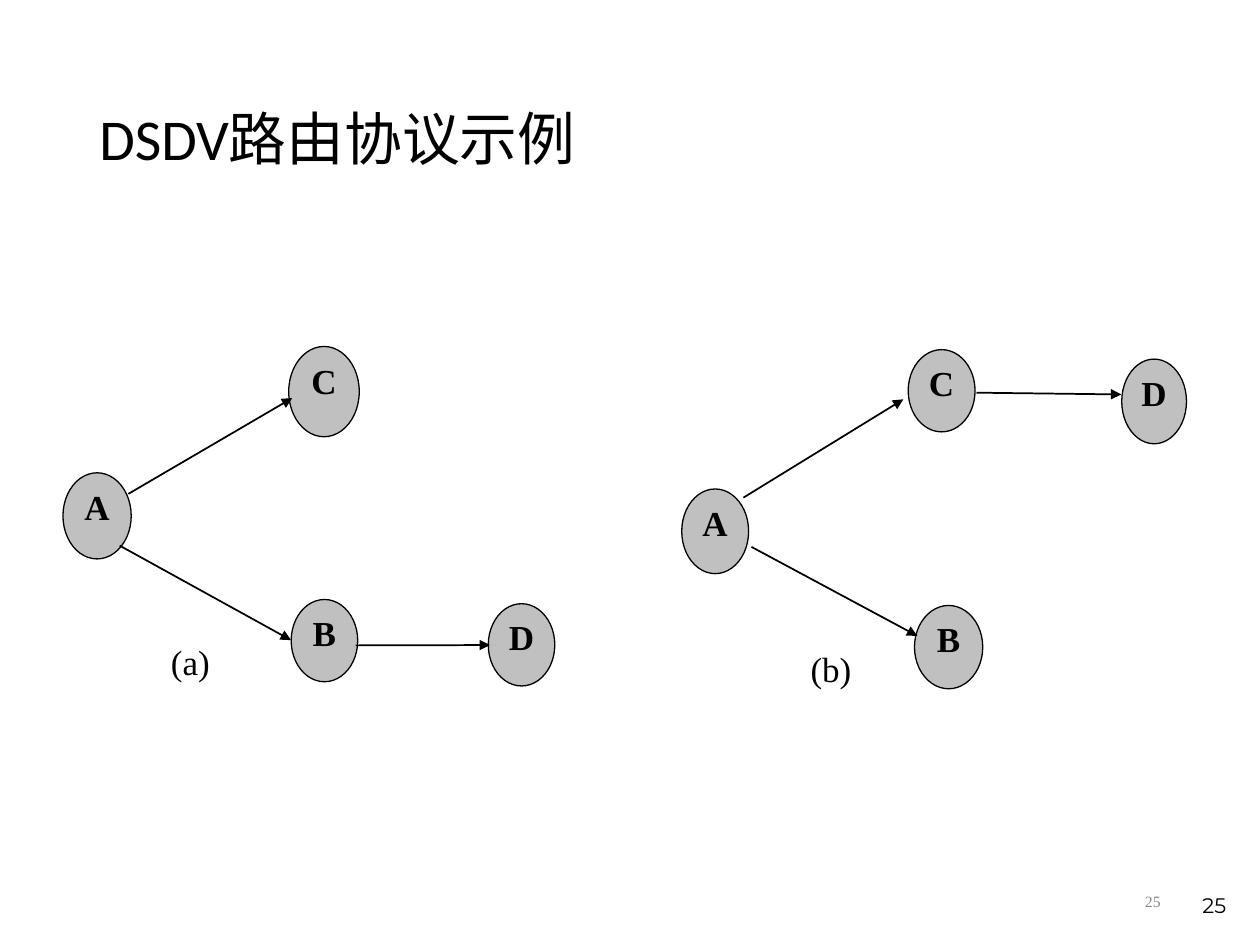
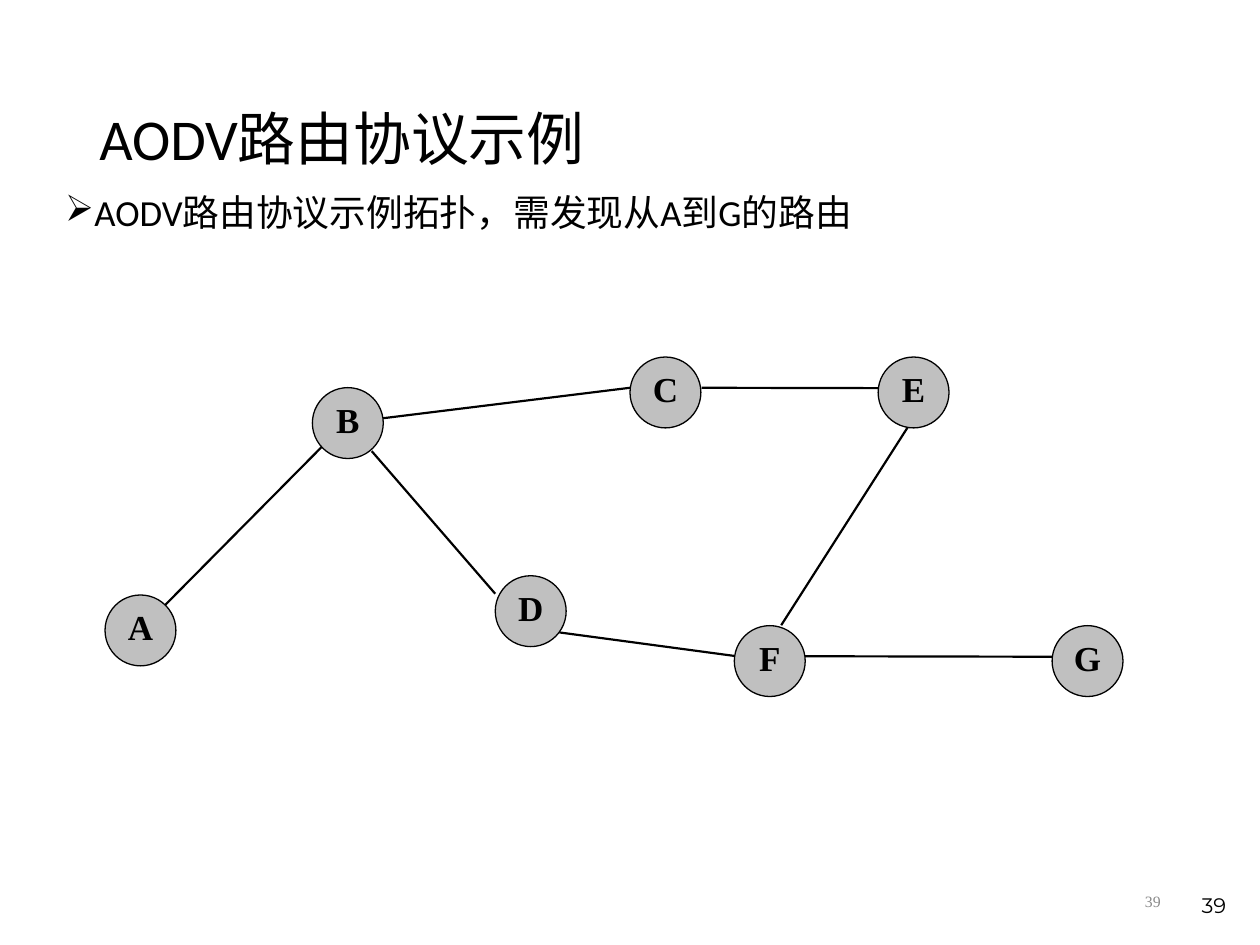
from lxml import etree
from pptx import Presentation
from pptx.dml.color import RGBColor
from pptx.enum import shapes, text
from pptx.oxml import ns
from pptx.util import Pt

BLACK, GREY, PALE = "000000", "898989", "C0C0C0"
SERIF, SANS, PAGE = "Times New Roman", "Calibri", "Montserrat"
LEFT, MID, RIGHT = text.PP_ALIGN.LEFT, text.PP_ALIGN.CENTER, text.PP_ALIGN.RIGHT
TOP, CENTRE, BASE = (text.MSO_ANCHOR.TOP, text.MSO_ANCHOR.MIDDLE,
                     text.MSO_ANCHOR.BOTTOM)


def color(fmt, code):
    fmt.rgb = RGBColor.from_string(code)


def sub(parent, tag, **attrs):
    return etree.SubElement(parent, ns.qn(tag), attrs)


def write(shape, words, size=20, font=SERIF, ink=BLACK, bold=False, align=LEFT,
          anchor=TOP, pad=(7.2, 3.6), spacing=1.0, bullet=None):
    """Fill a shape with one formatted paragraph; pad is (sides, top and bottom)."""
    frame = shape.text_frame
    frame.word_wrap = True
    frame.vertical_anchor = anchor
    frame.margin_left = frame.margin_right = Pt(pad[0])
    frame.margin_top = frame.margin_bottom = Pt(pad[1])
    para = frame.paragraphs[0]
    para.text = words
    para.alignment = align
    para.line_spacing = spacing
    if bullet:
        props = para._p.get_or_add_pPr()
        props.set("marL", str(Pt(13.5)))
        props.set("indent", str(-Pt(13.5)))
        sub(sub(props, "a:buClr"), "a:srgbClr", val=ink)
        sub(props, "a:buChar", char=bullet)
    face = para.runs[0].font
    face.size, face.name, face.bold = Pt(size), font, bold
    color(face.color, ink)


def label(slide, box, words, **style):
    write(slide.shapes.add_textbox(*map(Pt, box)), words, **style)


def node(slide, name, x, y, wide, high):
    oval = slide.shapes.add_shape(shapes.MSO_SHAPE.OVAL,
                                  *map(Pt, (x, y, wide, high)))
    oval.shadow.inherit = False
    oval.fill.solid()
    color(oval.fill.fore_color, PALE)
    color(oval.line.color, BLACK)
    oval.line.width = Pt(0.75)
    write(oval, name, bold=True, align=MID, pad=(0, 0))


def link(slide, ends, width, arrow=False):
    line = slide.shapes.add_connector(shapes.MSO_CONNECTOR.STRAIGHT,
                                      *map(Pt, ends))
    color(line.line.color, BLACK)
    line.line.width = Pt(width)
    if arrow:
        sub(line.line._get_or_add_ln(), "a:tailEnd", type="triangle")
    sub(line._element.spPr, "a:effectLst")


def start(deck, title, page):
    """Add a slide with its title and both page numbers."""
    slide = deck.slides.add_slide(deck.slide_layouts[6])
    label(slide, (49.7, 28.8, 621.4, 104.4), title, size=33, font=SANS,
          anchor=CENTRE, spacing=0.9)
    label(slide, (508.3, 500.4, 162, 28.8), page, size=9, ink=GREY,
          align=RIGHT, anchor=CENTRE)
    label(slide, (540, 491.8, 167.8, 36), page, size=12, font=PAGE,
          align=RIGHT, anchor=BASE)
    return slide


def tree(slide, nodes, arrows, name, box):
    """Draw one routing tree with its caption."""
    for spot in nodes:
        node(slide, *spot)
    for ends in arrows:
        link(slide, ends, 1, arrow=True)
    label(slide, box, name, align=MID, pad=(0, 0))


def dsdv(deck):
    slide = start(deck, "DSDV路由协议示例", "25")
    tree(slide,
         [("A", 36, 270.2, 39, 49.2), ("C", 165, 198, 40.3, 51.6),
          ("B", 166.4, 342.6, 38, 47), ("D", 279, 345, 38, 47)],
         [(73.4, 282.2, 167, 227.5), (203.2, 368.8, 280, 368.6),
          (68.4, 311.8, 166.3, 365.8)],
         "(a)", (77.8, 365.8, 61.9, 32.4))
    tree(slide,
         [("A", 389.6, 279.4, 38.2, 48.4), ("C", 519, 199.8, 38.2, 47),
          ("B", 522.6, 346, 39, 47.6), ("D", 641, 205.2, 37, 48.4)],
         [(424.8, 284.4, 516.2, 228.2), (558, 224.4, 640.8, 225.4),
          (429.4, 312.5, 524.2, 363.4)],
         "(b)", (446.4, 370.1, 56.9, 35.3))


def aodv(deck):
    slide = start(deck, "AODV路由协议示例", "39")
    label(slide, (30.2, 108, 642.2, 41.8),
          "AODV路由协议示例拓扑，需发现从A到G的路由",
          size=21, font=SANS, spacing=0.9, bullet="➢")
    for ends in [(94.3, 345.8, 187.2, 252), (218.9, 239, 360, 221.6),
                 (401, 221.6, 501.8, 221.8), (212.4, 257.8, 283, 339.3),
                 (319.7, 361.4, 421, 375), (446.4, 357.3, 522, 239),
                 (460, 375, 601.2, 375.3)]:
        link(slide, ends, 1.25)
    for name, x, y in [("A", 60, 340), ("B", 178.5, 221.5), ("C", 360, 204),
                       ("E", 501.8, 204), ("F", 419.6, 357.5),
                       ("D", 283, 329), ("G", 601.2, 357.5)]:
        node(slide, name, x, y, 40.5, 40.5)


def main():
    deck = Presentation()
    deck.slide_width, deck.slide_height = Pt(720), Pt(540)
    dsdv(deck)
    aodv(deck)
    deck.save("out.pptx")


if __name__ == "__main__":
    main()
